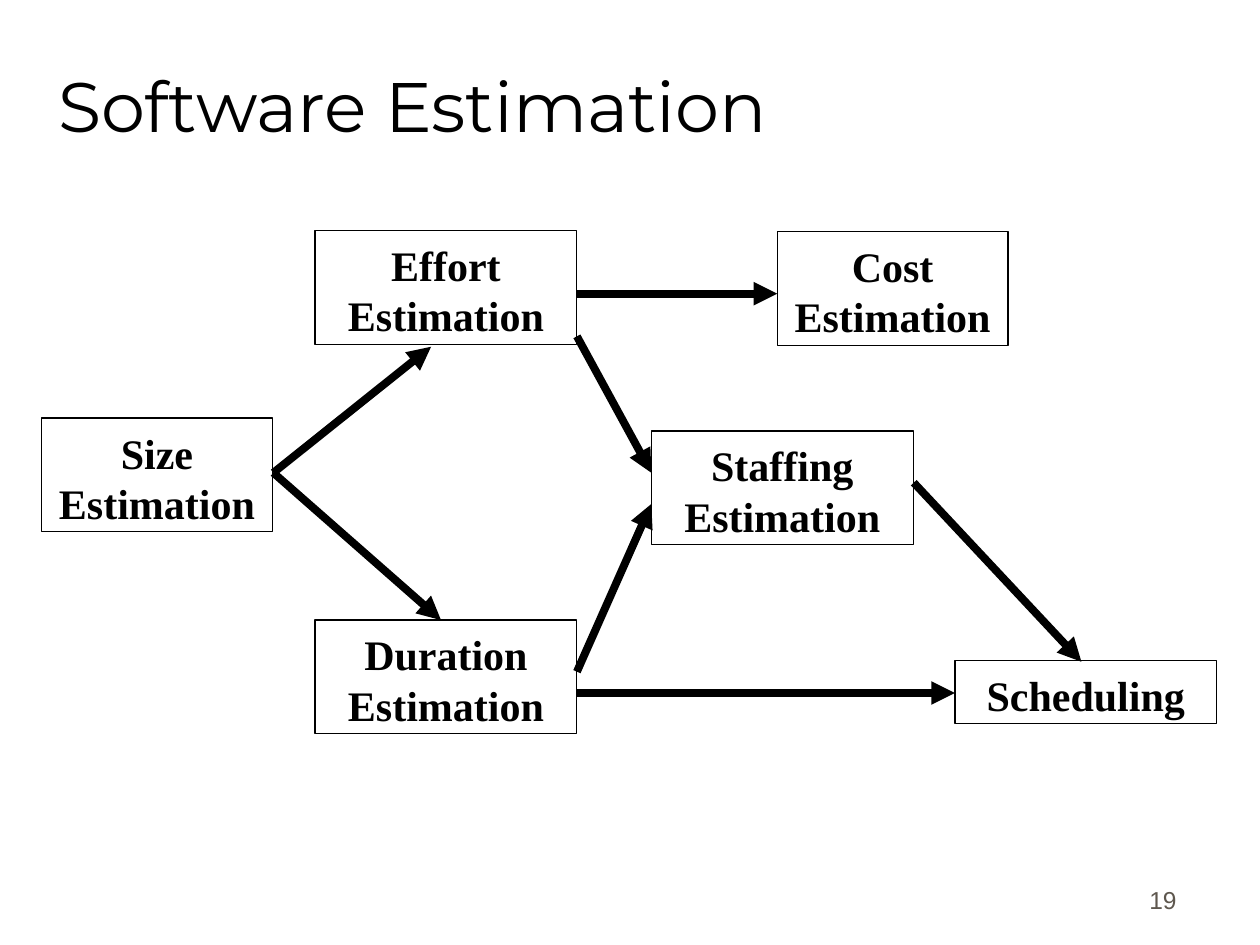
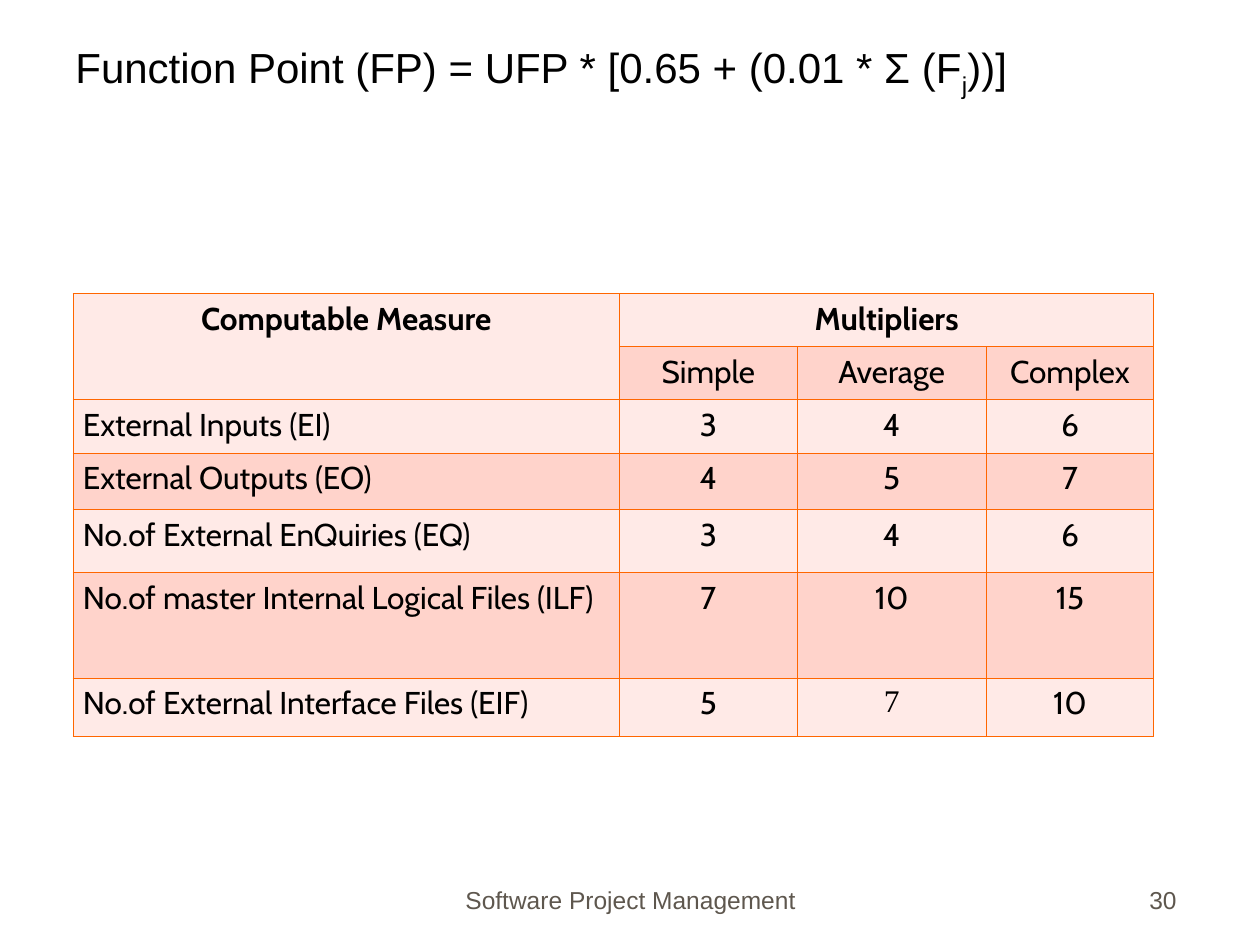
from lxml.etree import SubElement
from pptx import Presentation
from pptx.dml.color import RGBColor
from pptx.enum.shapes import MSO_CONNECTOR as Connector, MSO_SHAPE as Shape
from pptx.enum.text import MSO_ANCHOR as Anchor, MSO_AUTO_SIZE as AutoSize, PP_ALIGN as Align
from pptx.oxml.ns import qn
from pptx.util import Cm, Pt

# Shared look
BLACK, FOOTER_GREY, BORDER_ORANGE = "000000", "5E574E", "FF6600"
LIGHT_ROW, DARK_ROW = "FFEAE7", "FFD3CB"
SANS, SERIF, HEADING, TABLE_FONT = "Arial", "Times New Roman", "Montserrat", "Cabin"
TITLE_ONLY = 5

# Estimation steps: text, left, top, width, height in cm
TALL, SHORT = 2.29, 1.27
NARROW, WIDE = 4.65, 5.28
STEPS = [
    ("Size Estimation", 0.84, 8.43, NARROW, TALL),
    ("Effort Estimation", 6.35, 4.65, WIDE, TALL),
    ("Cost Estimation", 15.67, 4.67, NARROW, TALL),
    ("Duration Estimation", 6.35, 12.5, WIDE, TALL),
    ("Staffing Estimation", 13.13, 8.69, WIDE, TALL),
    ("Scheduling", 19.25, 13.31, WIDE, SHORT),
]

# Dependencies between steps: start and end points in cm
DEPENDENCIES = [
    ((5.51, 9.53), (8.69, 6.99)),     # size to effort
    ((5.51, 9.53), (8.89, 12.5)),     # size to duration
    ((11.63, 5.92), (15.67, 5.92)),   # effort to cost
    ((11.63, 6.78), (13.13, 9.53)),   # effort to staffing
    ((11.63, 13.54), (13.13, 10.16)), # duration to staffing
    ((11.63, 13.97), (19.25, 13.97)), # duration to scheduling
    ((18.42, 9.73), (21.8, 13.34)),   # staffing to scheduling
]

# Function point multipliers
MEASURES = [
    ("Computable Measure", "Multipliers", "", ""),
    ("", "Simple", "Average", "Complex"),
    ("External Inputs (EI)", "3", "4", "6"),
    ("External Outputs (EO)", "4", "5", "7"),
    ("No.of External EnQuiries (EQ)", "3", "4", "6"),
    ("No.of master Internal Logical Files (ILF)", "7", "10", "15"),
    ("No.of External Interface Files (EIF)", "5", "7", "10"),
]
COLUMN_WIDTHS = [11.02, 3.58, 3.81, 3.38]
ROW_HEIGHTS = [1.07, 1.07, 1.07, 1.14, 1.27, 2.13, 1.17]
SERIF_CELL = (6, 2)


def rgb(hex_string):
    return RGBColor.from_string(hex_string)


def add_run(paragraph, text, size, font, color=BLACK, bold=False):
    run = paragraph.add_run()
    run.text = text
    run.font.size, run.font.name, run.font.bold = Pt(size), font, bold
    run.font.color.rgb = rgb(color)
    return run


def set_frame(frame, anchor, side=0.25, top=0.13, bottom=0.13):
    frame.word_wrap = True
    frame.auto_size = AutoSize.NONE
    frame.vertical_anchor = anchor
    frame.margin_left = frame.margin_right = Cm(side)
    frame.margin_top, frame.margin_bottom = Cm(top), Cm(bottom)


def place_title(slide, left, top, width, height, anchor, side):
    """Position the title placeholder and return its paragraph."""
    title = slide.shapes.title
    title.left, title.top, title.width, title.height = map(Cm, (left, top, width, height))
    set_frame(title.text_frame, anchor, side)
    heading = title.text_frame.paragraphs[0]
    heading.alignment = Align.LEFT
    return heading


def add_footer(slide, text, left, width, align):
    footer = slide.shapes.add_textbox(Cm(left), Cm(17.3), Cm(width), Cm(1.27))
    set_frame(footer.text_frame, Anchor.BOTTOM)
    line = footer.text_frame.paragraphs[0]
    line.alignment = align
    add_run(line, text, 14, SANS, FOOTER_GREY)


def add_page_number(slide, number):
    add_footer(slide, number, 18.69, 5.28, Align.RIGHT)


def add_step(slide, text, *box):
    step = slide.shapes.add_shape(Shape.RECTANGLE, *map(Cm, box))
    step.shadow.inherit = False
    step.fill.background()
    step.line.color.rgb = rgb(BLACK)
    step.line.width = Pt(0.75)
    set_frame(step.text_frame, Anchor.TOP, top=0.18, bottom=0.08)
    label = step.text_frame.paragraphs[0]
    label.alignment = Align.CENTER
    label.line_spacing = Pt(28.8)
    add_run(label, text, 24, SERIF, bold=True)


def add_arrow(slide, start, end):
    arrow = slide.shapes.add_connector(Connector.STRAIGHT, *map(Cm, start + end))
    arrow.line.color.rgb = rgb(BLACK)
    arrow.line.width = Pt(4.5)
    SubElement(arrow.line._get_or_add_ln(), qn("a:tailEnd"), type="triangle")
    SubElement(arrow._element.spPr, qn("a:effectLst"))


def add_borders(cell):
    """Outline a cell; the borders must precede the fill in the cell properties."""
    properties = cell._tc.get_or_add_tcPr()
    for side in ("a:lnL", "a:lnR", "a:lnT", "a:lnB"):
        border = SubElement(properties, qn(side), w=str(Pt(0.45)))
        fill = SubElement(border, qn("a:solidFill"))
        SubElement(fill, qn("a:srgbClr"), val=BORDER_ORANGE)


def fill_cell(cell, row, column, text):
    cell.margin_left = cell.margin_right = Cm(0.2)
    cell.margin_top = cell.margin_bottom = Cm(0.13)
    add_borders(cell)
    cell.fill.solid()
    cell.fill.fore_color.rgb = rgb(DARK_ROW if row % 2 else LIGHT_ROW)
    if text:
        entry = cell.text_frame.paragraphs[0]
        entry.alignment = Align.LEFT if column == 0 and row > 0 else Align.CENTER
        font = SERIF if (row, column) == SERIF_CELL else TABLE_FONT
        add_run(entry, text, 18, font, bold=row == 0)


def add_multiplier_table(slide):
    table = slide.shapes.add_table(
        len(MEASURES), len(COLUMN_WIDTHS), Cm(1.47), Cm(5.92),
        Cm(sum(COLUMN_WIDTHS)), Cm(sum(ROW_HEIGHTS))).table
    table.first_row = table.horz_banding = False
    for column, width in zip(table.columns, COLUMN_WIDTHS):
        column.width = Cm(width)
    for row, height in zip(table.rows, ROW_HEIGHTS):
        row.height = Cm(height)
    for r, measure in enumerate(MEASURES):
        for c, text in enumerate(measure):
            fill_cell(table.cell(r, c), r, c, text)
    # Header spans
    table.cell(0, 0).merge(table.cell(1, 0))
    table.cell(0, 1).merge(table.cell(0, 3))


def build_estimation_slide(slide):
    heading = place_title(slide, 1.12, 0.51, 21.59, 3.18, Anchor.MIDDLE, 0.05)
    add_run(heading, "Software Estimation", 40, HEADING)
    for step in STEPS:
        add_step(slide, *step)
    for start, end in DEPENDENCIES:
        add_arrow(slide, start, end)
    add_page_number(slide, "19")


def build_function_point_slide(slide):
    formula = place_title(slide, 1.27, 0.71, 22.86, 1.6, Anchor.TOP, 0.25)
    add_run(formula, "Function Point (FP) = UFP * [0.65 + (0.01 * Σ (F", 24, SANS)
    subscript = add_run(formula, "j", 24, SANS)
    subscript.font._element.set("baseline", "-25000")
    add_run(formula, "))]", 24, SANS)
    add_multiplier_table(slide)
    add_footer(slide, "Software Project Management", 8.69, 8.05, Align.CENTER)
    add_page_number(slide, "30")


def main():
    deck = Presentation()
    deck.slide_width, deck.slide_height = Cm(25.4), Cm(19.05)
    for build in (build_estimation_slide, build_function_point_slide):
        build(deck.slides.add_slide(deck.slide_layouts[TITLE_ONLY]))
    deck.save("out.pptx")


if __name__ == "__main__":
    main()
